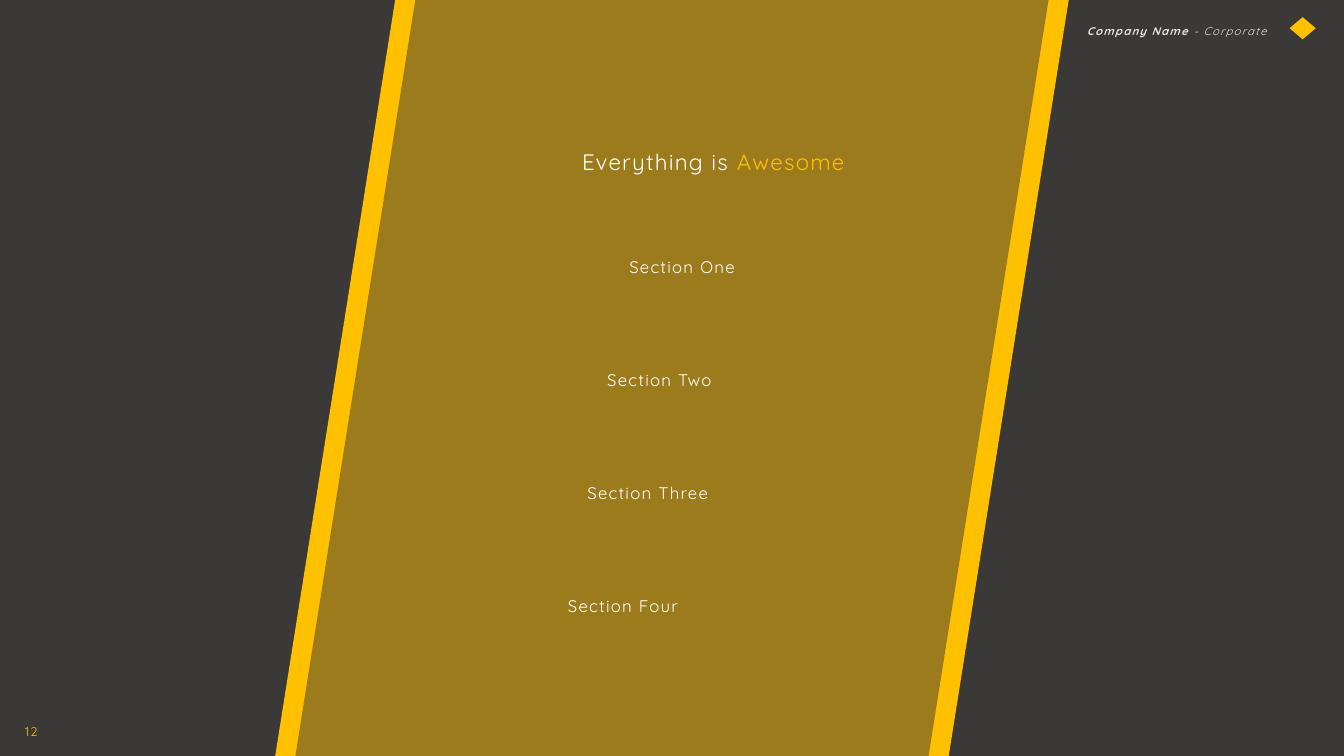
from lxml.etree import SubElement
from pptx import Presentation
from pptx.dml.color import RGBColor
from pptx.enum.shapes import MSO_SHAPE as Preset
from pptx.enum.text import MSO_AUTO_SIZE as AutoSize, PP_ALIGN as Align
from pptx.oxml.ns import qn
from pptx.util import Inches, Pt

DARK, GOLD, PALE, WHITE = "3B3838", "FFC000", "E7E6E6", "FFFFFF"
FONT = "Quicksand"
SLIDE_W, SLIDE_H = 13.33, 7.5
SLANT = 1.19  # sideways shift of the band from bottom to top


def color(hex_code):
    return RGBColor.from_string(hex_code)


def paint(shape, fill, alpha=None):
    shape.shadow.inherit = False
    shape.line.fill.background()
    shape.fill.solid()
    shape.fill.fore_color.rgb = color(fill)
    if alpha is not None:
        tint = shape._element.spPr.find(qn("a:solidFill"))[0]
        SubElement(tint, qn("a:alpha"), val=str(alpha * 1000))


def add_label(slide, box, runs, size, align=Align.LEFT, wrap=True, italic=None):
    """Place one spaced line of (text, colour, bold) runs in the box."""
    frame = slide.shapes.add_textbox(*map(Inches, box)).text_frame
    frame.word_wrap = wrap
    frame.auto_size = AutoSize.SHAPE_TO_FIT_TEXT
    line = frame.paragraphs[0]
    line.alignment = align
    line.line_spacing = 1.5
    line.font.name = FONT
    line.font.size = Pt(size)
    line.font.italic = italic
    for text, hue, bold in runs:
        run = line.add_run()
        run.text = text
        run.font.name = FONT
        run.font.size = Pt(size)
        run.font.italic = italic
        run.font.bold = bold
        run.font.color.rgb = color(hue)
        run._r.get_or_add_rPr().set("spc", "90")


def add_slanted_band(slide, left, width, fill, alpha=None):
    corners = [(left + SLANT, 0), (left + SLANT + width, 0),
               (left + width, SLIDE_H), (left, SLIDE_H)]
    points = [(Inches(x), Inches(y)) for x, y in corners]
    outline = slide.shapes.build_freeform(*points[0])
    outline.add_line_segments(points[1:], close=True)
    paint(outline.convert_to_shape(), fill, alpha)


def add_center_band(slide, left, width, border):
    add_slanted_band(slide, left, width, GOLD)
    add_slanted_band(slide, left + border, width - 2 * border, DARK, alpha=50)


def add_header(slide, left, top):
    add_label(slide, (left, top, 2.02, 0.28),
              [("Company Name ", PALE, True), ("- Corporate", PALE, False)],
              8, Align.RIGHT, italic=True)
    # Plain emblem
    emblem = slide.shapes.add_shape(
        Preset.DIAMOND, *map(Inches, (left + 2.15, top + 0.04, 0.26, 0.22)))
    paint(emblem, GOLD)


def add_agenda(slide, top):
    # Heading
    add_label(slide, (5.35, top, 3.45, 0.46),
              [("Everything is ", WHITE, None), ("Awesome", GOLD, None)],
              16, Align.CENTER, wrap=False)
    # Sections, stepping left along the slant
    sections = [("One", 6.02, 1.49), ("Two", 5.8, 1.48),
                ("Three", 5.59, 1.67), ("Four", 5.41, 1.54)]
    for row, (number, left, width) in enumerate(sections):
        add_label(slide, (left, top + 1.11 + row * 1.12, width, 0.37),
                  [(f"Section {number}", WHITE, None)],
                  12, Align.CENTER, wrap=False)


def main():
    deck = Presentation()
    deck.slide_width, deck.slide_height = Inches(SLIDE_W), Inches(SLIDE_H)
    slide = deck.slides.add_slide(deck.slide_layouts[6])
    slide.background.fill.solid()
    slide.background.fill.fore_color.rgb = color(DARK)

    add_center_band(slide, left=2.73, width=6.68, border=0.2)
    add_header(slide, left=10.64, top=0.13)
    # Page number
    add_label(slide, (0.15, 7.06, 0.53, 0.3), [("12", GOLD, None)], 9)
    add_agenda(slide, top=1.29)
    deck.save("out.pptx")


if __name__ == "__main__":
    main()
